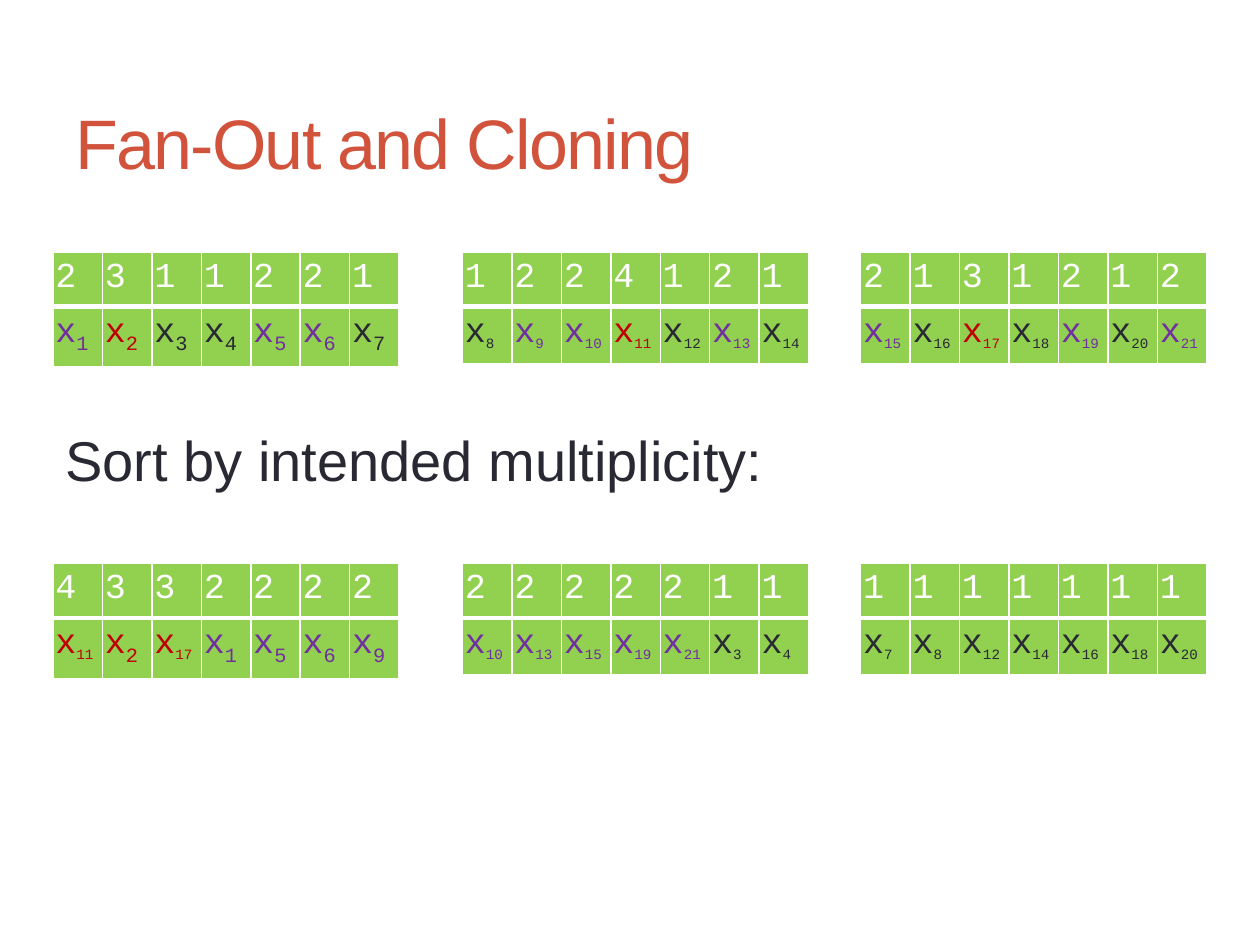
from dataclasses import dataclass

from lxml import etree
from pptx import Presentation
from pptx.dml.color import RGBColor
from pptx.enum.text import MSO_ANCHOR
from pptx.oxml.ns import qn
from pptx.util import Inches, Pt

MIDDLE = MSO_ANCHOR.MIDDLE
TOP = MSO_ANCHOR.TOP
WIDE, HIGH = 10, 7.5
COLS, ROWS = 24, 30


@dataclass(frozen=True)
class Theme:
    sans: str = "Arial"
    mono: str = "Courier New"
    rust: str = "D2533C"
    ink: str = "292934"
    white: str = "FFFFFF"
    green: str = "92D050"
    violet: str = "7030A0"
    red: str = "C00000"
    title: int = 40
    lead: int = 32
    cell: int = 20
    small: int = 14


class Deck:
    def __init__(self, theme):
        self.theme = theme
        self.file = Presentation()
        self.file.slide_width = Inches(WIDE)
        self.file.slide_height = Inches(HIGH)
        self.slide = self.file.slides.add_slide(self.file.slide_layouts[6])

    def place(self, left, top, width, height):
        return [Inches(round(n, 2)) for n in (
            left * WIDE / COLS, top * HIGH / ROWS,
            width * WIDE / COLS, height * HIGH / ROWS)]

    def style(self, run, size, color, face, base=0):
        font = run.font
        font.size, font.name, font.bold = Pt(size), face, False
        font.color.rgb = RGBColor.from_string(color)
        if base:
            font._element.set("baseline", str(base))

    def text(self, words, box, size, color, anchor=TOP, wrap=True, space=0):
        frame = self.slide.shapes.add_textbox(*self.place(*box)).text_frame
        frame.word_wrap = wrap
        frame.vertical_anchor = anchor
        frame.text = words
        run = frame.paragraphs[0].runs[0]
        self.style(run, size, color, self.theme.sans)
        if space:
            run.font._element.set("spc", str(space))

    def edge(self, cell, sizes):
        props = cell._tc.get_or_add_tcPr()
        for side, size in zip("LRTB", sizes):
            line = etree.SubElement(props, qn(f"a:ln{side}"), w=str(Pt(size)))
            fill = etree.SubElement(line, qn("a:solidFill"))
            etree.SubElement(fill, qn("a:srgbClr"), val=self.theme.white)

    def cell(self, cell, parts, sizes):
        cell.margin_left = cell.margin_right = Inches(0.02)
        cell.margin_top = cell.margin_bottom = Inches(0.05)
        self.edge(cell, sizes)
        cell.fill.solid()
        cell.fill.fore_color.rgb = RGBColor.from_string(self.theme.green)
        para = cell.text_frame.paragraphs[0]
        for words, size, color, base in parts:
            run = para.add_run()
            run.text = words
            self.style(run, size, color, self.theme.mono, base)

    def block(self, items, box, large):
        theme = self.theme
        hues = {1: theme.ink, 2: theme.violet}
        frame = self.slide.shapes.add_table(2, len(items), *self.place(*box))
        table = frame.table
        table.horz_banding = False
        for row in table.rows:
            row.height = Inches(0.41)
        for col, (index, count) in enumerate(items):
            hue = hues.get(count, theme.red)
            size = theme.cell if large and index < 10 else theme.small
            head = [(str(count), theme.cell, theme.white, 0)]
            body = [("x", theme.cell, hue, 0), (str(index), size, hue, -25000)]
            self.cell(table.cell(0, col), head, (1, 1, 1, 3))
            self.cell(table.cell(1, col), body, (1, 1, 3, 1))

    def band(self, items, top):
        for part, left in enumerate((1, 8.8, 16.4)):
            group = items[part * 7:part * 7 + 7]
            self.block(group, (left, top, 6.6, 3.48), part == 0)


def main():
    theme = Theme()
    deck = Deck(theme)
    counts = [int(n) for n in "231122112241212131212"]
    items = list(enumerate(counts, 1))
    ranked = sorted(items, key=lambda item: -item[1])
    deck.text("Fan-Out and Cloning", (1.2, 2.32, 21.6, 4.32),
              theme.title, theme.rust, MIDDLE, space=-100)
    deck.band(items, 8)
    deck.band(ranked, 17.88)
    deck.text("Sort by intended multiplicity:", (1, 13.32, 13.87, 2.56),
              theme.lead, theme.ink, wrap=False)
    deck.file.save("out.pptx")


if __name__ == "__main__":
    main()
